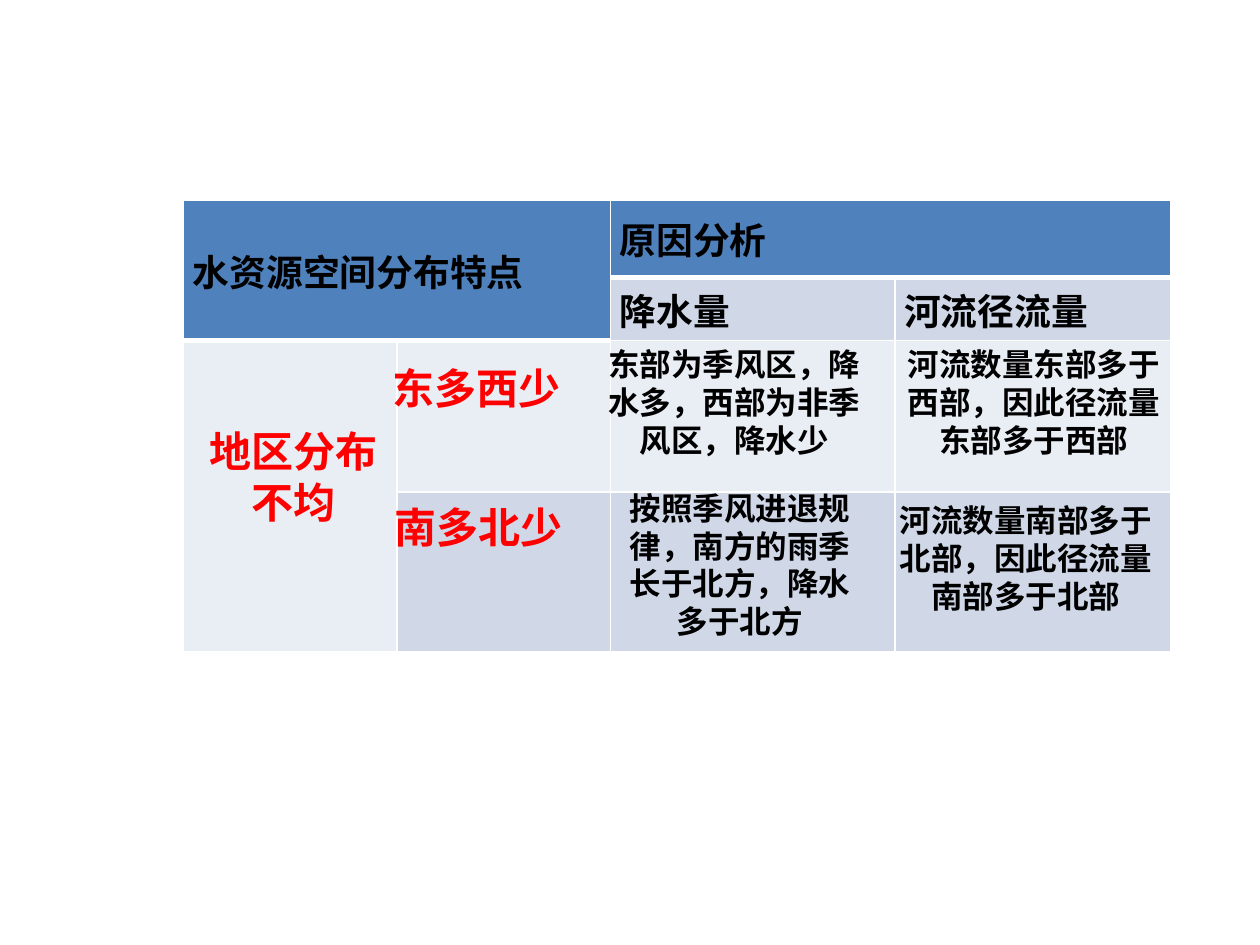
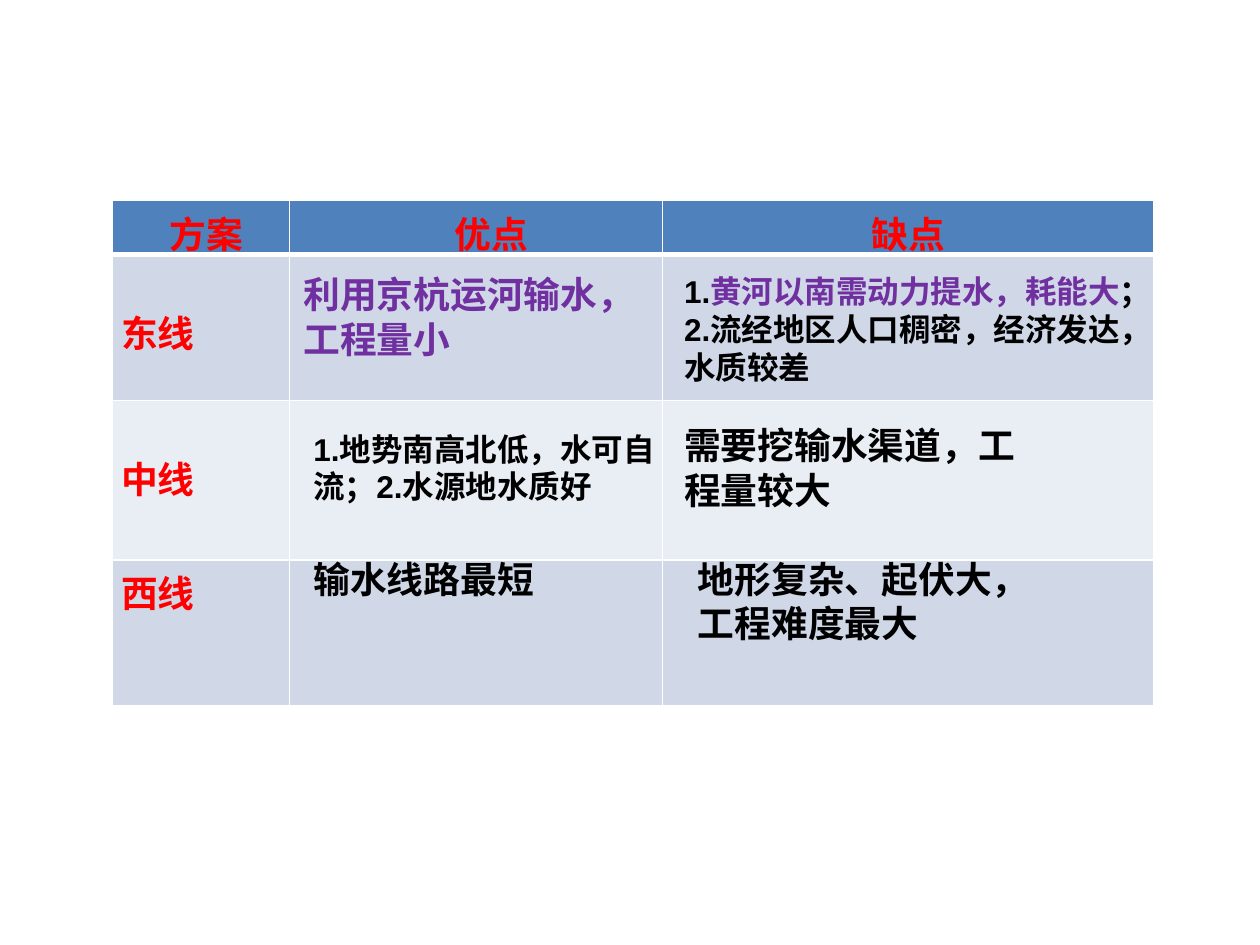
from lxml import etree
from pptx import Presentation
from pptx.dml.color import RGBColor
from pptx.enum.text import MSO_ANCHOR as Anchor, MSO_AUTO_SIZE as AutoSize, PP_ALIGN as Align
from pptx.oxml.ns import qn
from pptx.util import Pt

WHITE = RGBColor(0xFF, 0xFF, 0xFF)
BLACK = RGBColor(0x00, 0x00, 0x00)
RED = RGBColor(0xFF, 0x00, 0x00)
PURPLE = RGBColor(0x70, 0x30, 0xA0)
HEADER_BLUE = RGBColor(0x4F, 0x81, 0xBD)
BAND_DARK = RGBColor(0xD0, 0xD8, 0xE8)
BAND_LIGHT = RGBColor(0xE9, 0xED, 0xF4)

FONT = "Arial"
SMALL, MEDIUM, LARGE = 18, 21, 24
TABLE_TOP = 114.5
INSET_X, INSET_Y = 5.2, 2.9
THIN, THICK = 1, 3


class Lesson:
    def __init__(self):
        self.deck = Presentation()
        self.deck.slide_width, self.deck.slide_height = Pt(720), Pt(540)
        self.page = None

    def add_page(self):
        self.page = self.deck.slides.add_slide(self.deck.slide_layouts[6])

    def add_spans(self, para, spans, size, align=Align.LEFT):
        para.alignment = align
        for words, color in spans:
            span = para.add_run()
            span.text = words
            span.font.name, span.font.size, span.font.bold = FONT, Pt(size), True
            span.font.color.rgb = color

    def add_text(self, left, top, width, height, size, *spans, align=Align.LEFT):
        box = self.page.shapes.add_textbox(Pt(left), Pt(top), Pt(width), Pt(height))
        frame = box.text_frame
        frame.word_wrap = True
        frame.auto_size = AutoSize.SHAPE_TO_FIT_TEXT
        self.add_spans(frame.paragraphs[0], spans, size, align)

    def add_border(self, cell, side, width):
        line = etree.SubElement(cell._tc.get_or_add_tcPr(), qn(f"a:ln{side}"), w=str(Pt(width)))
        fill = etree.SubElement(line, qn("a:solidFill"))
        etree.SubElement(fill, qn("a:srgbClr"), val=str(WHITE))

    def add_table(self, left, widths, heights, fills):
        table = self.page.shapes.add_table(
            len(heights), len(widths), Pt(left), Pt(TABLE_TOP),
            Pt(sum(widths)), Pt(sum(heights))).table
        for column, width in zip(table.columns, widths):
            column.width = Pt(width)
        for row, height in zip(table.rows, heights):
            row.height = Pt(height)
        for r, row_fills in enumerate(fills):
            for c, color in enumerate(row_fills):
                cell = table.cell(r, c)
                header_above = r > 0 and fills[r - 1][c] == HEADER_BLUE != color
                header_end = color == HEADER_BLUE != fills[r + 1][c]
                self.add_border(cell, "L", THIN)
                self.add_border(cell, "R", THIN)
                self.add_border(cell, "T", THICK if header_above else THIN)
                self.add_border(cell, "B", THICK if header_end else THIN)
                cell.fill.solid()
                cell.fill.fore_color.rgb = color
        return table

    def fill_cell(self, cell, words, color, align=Align.LEFT, anchor=Anchor.TOP,
                  indent=0, drop=0):
        cell.margin_left, cell.margin_right = Pt(INSET_X + indent), Pt(INSET_X)
        cell.margin_top, cell.margin_bottom = Pt(INSET_Y + drop), Pt(INSET_Y)
        cell.vertical_anchor = anchor
        self.add_spans(cell.text_frame.paragraphs[0], [(words, color)], MEDIUM, align)


def build_distribution(lesson):
    lesson.add_page()
    fills = [[HEADER_BLUE] * 4, [HEADER_BLUE] * 2 + [BAND_DARK] * 2,
             [BAND_LIGHT] * 4, [BAND_LIGHT] + [BAND_DARK] * 3]
    table = lesson.add_table(105, [122, 122, 162.5, 157.5], [44, 30, 86.5, 91.5], fills)
    for start, end in (((0, 0), (1, 1)), ((0, 2), (0, 3)), ((2, 0), (3, 0))):
        table.cell(*start).merge(table.cell(*end))
    headings = {(0, 0): "水资源空间分布特点", (0, 2): "原因分析",
                (1, 2): "降水量", (1, 3): "河流径流量"}
    for place, words in headings.items():
        lesson.fill_cell(table.cell(*place), words, BLACK, anchor=Anchor.MIDDLE)

    features = [(105, 239.8, 125.3, 65.5, "地区分布不均"),
                (216, 203.8, 112.3, 36, "东多西少"),
                (216, 283, 114.5, 36, "南多北少")]
    causes = [(336.2, 193.7, 167, 72.7, "东部为季风区，降水多，西部为非季风区，降水少"),
              (344.2, 275.8, 157, 94.3, "按照季风进退规律，南方的雨季长于北方，降水多于北方"),
              (507.6, 193.7, 166.3, 72.7, "河流数量东部多于西部，因此径流量东部多于西部"),
              (503.3, 283, 165.6, 72.7, "河流数量南部多于北部，因此径流量南部多于北部")]
    for items, size, color in ((features, LARGE, RED), (causes, SMALL, BLACK)):
        for *place, words in items:
            lesson.add_text(*place, size, (words, color), align=Align.CENTER)


def build_routes(lesson):
    lesson.add_page()
    fills = [[color] * 3 for color in (HEADER_BLUE, BAND_DARK, BAND_LIGHT, BAND_DARK)]
    table = lesson.add_table(64, [101.5, 213, 281], [30, 83.5, 91, 83.5], fills)
    for c, (words, indent) in enumerate((("方案", 6), ("优点", 18), ("缺点", 0))):
        lesson.fill_cell(table.cell(0, c), words, RED, align=Align.CENTER, indent=indent)
    for r, (words, drop) in enumerate((("东线", 26), ("中线", 26), ("西线", 0)), 1):
        lesson.fill_cell(table.cell(r, 0), words, RED, drop=drop)

    width = 211.7
    lesson.add_text(166.3, 152, width, 58.3, MEDIUM, ("利用京杭运河输水，工程量小", PURPLE))
    lesson.add_text(383.8, 152, 267.8, 72.7, SMALL, ("1.", BLACK),
                    ("黄河以南需动力提水，耗能大", PURPLE),
                    ("；2.流经地区人口稠密，经济发达，水质较差", BLACK))
    lesson.add_text(172, 242, width, 51, SMALL,
                    ("1.地势南高北低，水可自流；2.水源地水质好", BLACK))
    lesson.add_text(383.8, 238.3, width, 58.3, MEDIUM, ("需要挖输水渠道，工程量较大", BLACK))
    lesson.add_text(172, 314.6, width, 32.4, MEDIUM, ("输水线路最短", BLACK))
    lesson.add_text(391.7, 314.6, width, 58.3, MEDIUM, ("地形复杂、起伏大，工程难度最大", BLACK))


def main():
    lesson = Lesson()
    build_distribution(lesson)
    build_routes(lesson)
    lesson.deck.save("out.pptx")


if __name__ == "__main__":
    main()
